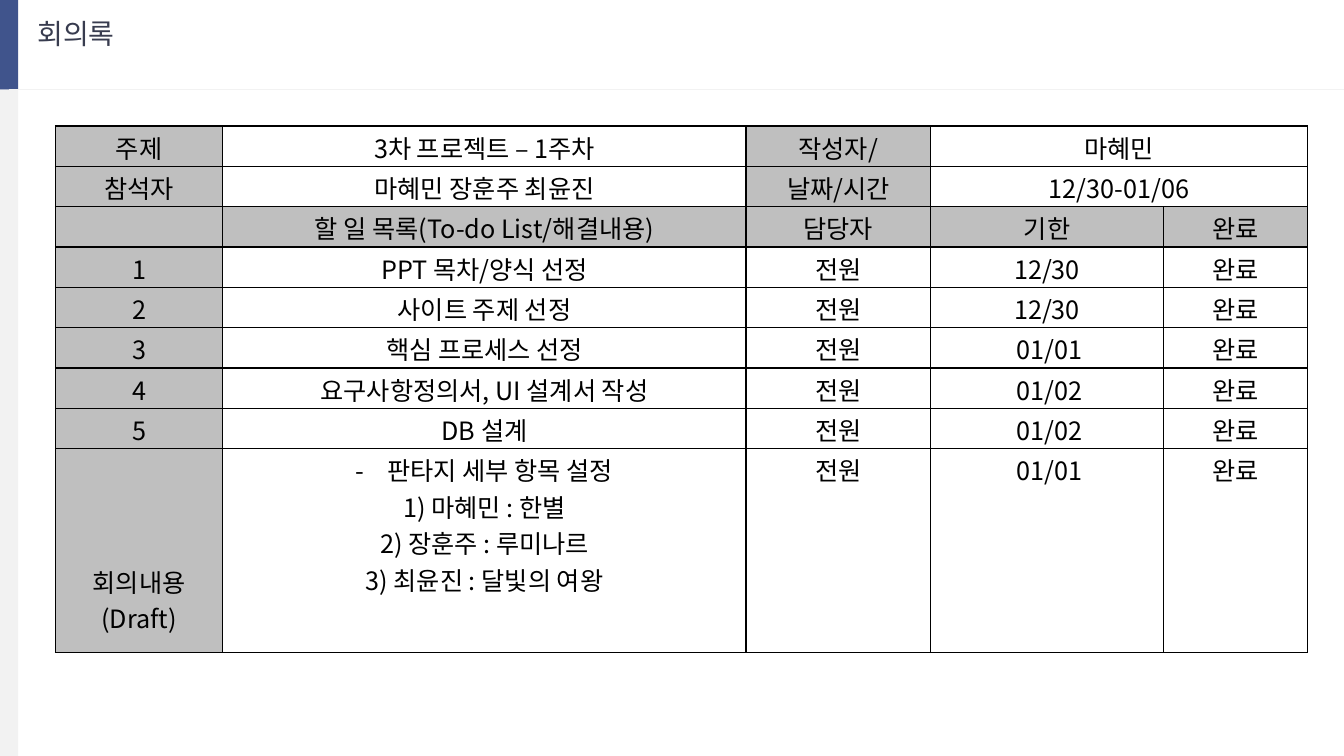
import pptx
import pptx.util
import pptx.dml.color
import pptx.enum.shapes
import pptx.enum.text
import pptx.oxml
import pptx.oxml.ns
import lxml.etree

Inches = pptx.util.Inches
Pt = pptx.util.Pt
qn = pptx.oxml.ns.qn
FONT = "Noto Sans CJK KR"


def color(code):
    return pptx.dml.color.RGBColor.from_string(code)


def style(frame, size, code):
    for para in frame.paragraphs:
        for run in para.runs:
            run.font.name = FONT
            run.font.size = Pt(size)
            run.font.color.rgb = color(code)
            east = lxml.etree.SubElement(run.font._element, qn("a:ea"))
            east.set("typeface", FONT)


deck = pptx.Presentation()
deck.slide_width = Inches(13.33)
deck.slide_height = Inches(7.5)
slide = deck.slides.add_slide(deck.slide_layouts[5])
shapes = slide.shapes

for top, height, code in [(0, 0.89, "40548C"), (0.89, 6.61, "F2F2F2")]:
    bar = shapes.add_shape(
        pptx.enum.shapes.MSO_SHAPE.RECTANGLE,
        Inches(0), Inches(top), Inches(0.18), Inches(height))
    bar.shadow.inherit = False
    bar.fill.solid()
    bar.fill.fore_color.rgb = color(code)
    bar.line.fill.background()

rule = shapes.add_connector(
    pptx.enum.shapes.MSO_CONNECTOR.STRAIGHT,
    Inches(0.09), Inches(0.89), Inches(13.33), Inches(0.89))
rule.line.color.rgb = color("F2F2F2")
rule.line.width = Pt(0.5)
lxml.etree.SubElement(rule._element.spPr, qn("a:effectLst"))

title = shapes.title
title.left, title.top = Inches(0.27), Inches(0.11)
title.width, title.height = Inches(1.01), Inches(0.44)
frame = title.text_frame
frame.text = "회의록"
frame.word_wrap = False
frame.auto_size = pptx.enum.text.MSO_AUTO_SIZE.SHAPE_TO_FIT_TEXT
frame.vertical_anchor = pptx.enum.text.MSO_ANCHOR.TOP
frame.paragraphs[0].alignment = pptx.enum.text.PP_ALIGN.LEFT
style(frame, 20, "383C4F")

draft = "\n".join([
    "판타지 세부 항목 설정",
    "1) 마혜민 : 한별",
    "2) 장훈주 : 루미나르",
    "3) 최윤진 : 달빛의 여왕",
])
rows = [
    ["주제", "3차 프로젝트 – 1주차", "작성자/", "마혜민", ""],
    ["참석자", "마혜민 장훈주 최윤진", "날짜/시간", "12/30-01/06", ""],
    ["", "할 일 목록(To-do List/해결내용)", "담당자", "기한", "완료"],
    ["1", "PPT 목차/양식 선정", "전원", "12/30", "완료"],
    ["2", "사이트 주제 선정", "전원", "12/30", "완료"],
    ["3", "핵심 프로세스 선정", "전원", " 01/01", "완료"],
    ["4", "요구사항정의서, UI 설계서 작성", "전원", " 01/02", "완료"],
    ["5", "DB 설계", "전원", " 01/02", "완료"],
    ["회의내용\n(Draft)", draft, "전원", " 01/01", "완료"],
]
widths = [1.66, 5.19, 1.83, 2.31, 1.43]
heights = [0.4] * 8 + [2.02]

table = shapes.add_table(
    len(rows), len(widths), Inches(0.55), Inches(1.25),
    Inches(sum(widths)), Inches(sum(heights))).table
table.first_row = False
table.horz_banding = False
for col, width in zip(table.columns, widths):
    col.width = Inches(width)
for row, height in zip(table.rows, heights):
    row.height = Inches(height)

for r, texts in enumerate(rows):
    for c, text in enumerate(texts):
        cell = table.cell(r, c)
        cell.margin_top = Inches(0.03)
        cell.margin_bottom = Inches(0)
        props = cell._tc.get_or_add_tcPr()
        for side in ["lnL", "lnR", "lnT", "lnB"]:
            edge = lxml.etree.SubElement(props, qn("a:" + side), w="12700")
            fill = lxml.etree.SubElement(edge, qn("a:solidFill"))
            lxml.etree.SubElement(fill, qn("a:srgbClr"), val="000000")
        if c == 0 or r == 2 or (c == 2 and r < 2):
            cell.fill.solid()
            cell.fill.fore_color.rgb = color("BFBFBF")
        else:
            cell.fill.background()
        cell.text_frame.text = text
        for para in cell.text_frame.paragraphs:
            para.alignment = pptx.enum.text.PP_ALIGN.CENTER
        style(cell.text_frame, 18, "000000")

for r in range(2):
    table.cell(r, 3).merge(table.cell(r, 4))

label = table.cell(8, 0)
label.vertical_anchor = pptx.enum.text.MSO_ANCHOR.BOTTOM
label.margin_bottom = Inches(0.16)

first = table.cell(8, 1).text_frame.paragraphs[0]._p.get_or_add_pPr()
first.set("marL", str(Inches(0.31)))
first.set("indent", str(-Inches(0.31)))
lxml.etree.SubElement(first, qn("a:buFont"), typeface=FONT)
lxml.etree.SubElement(first, qn("a:buChar"), char="-")

deck.save("out.pptx")
